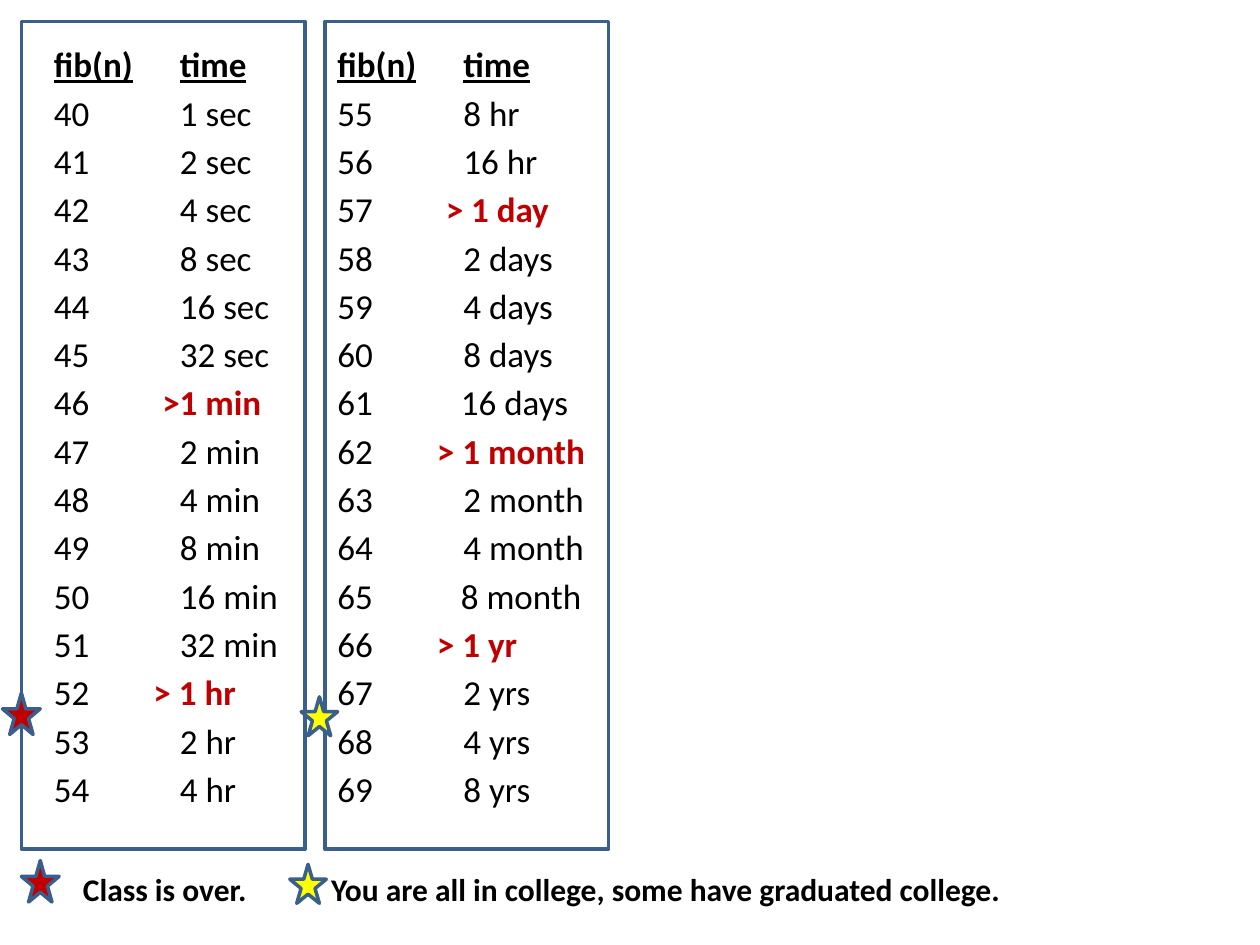
from lxml.etree import SubElement
from pptx import Presentation
from pptx.dml.color import RGBColor
from pptx.enum.shapes import MSO_SHAPE
from pptx.oxml.ns import qn
from pptx.util import Inches, Pt

BLACK, RED, YELLOW, BLUE = "000000", "C00000", "FFFF00", "3A5F8C"
TIME_TAB = 1.0
FIRST_TIMES = ["1 sec", "2 sec", "4 sec", "8 sec", "16 sec", "32 sec", ">1 min",
               "2 min", "4 min", "8 min", "16 min", "32 min", "> 1 hr", "2 hr", "4 hr"]
LATER_TIMES = ["8 hr", "16 hr", "> 1 day", "2 days", "4 days", "8 days", "16 days",
               "> 1 month", "2 month", "4 month", "8 month", "> 1 yr", "2 yrs",
               "4 yrs", "8 yrs"]
# Rows whose time starts left of the common tab stop
SHIFTED_TABS = {46: 0.86, 52: 0.79, 57: 0.86, 61: 0.98, 62: 0.79, 65: 0.98, 66: 0.79}


def color(hex_value):
    return RGBColor.from_string(hex_value)


class FibSlide:
    font_name = "Calibri"
    line_width = Pt(2)

    def __init__(self, presentation):
        self.slide = presentation.slides.add_slide(presentation.slide_layouts[6])

    def shape(self, kind, left, top, width, height, fill=None):
        shape = self.slide.shapes.add_shape(
            kind, Inches(left), Inches(top), Inches(width), Inches(height))
        shape.shadow.inherit = False
        if fill:
            shape.fill.solid()
            shape.fill.fore_color.rgb = color(fill)
        else:
            shape.fill.background()
        shape.line.color.rgb = color(BLUE)
        shape.line.width = self.line_width

    def star(self, left, top, width, height, fill):
        self.shape(MSO_SHAPE.STAR_5_POINT, left, top, width, height, fill)

    def text_frame(self, left, top, width, height):
        frame = self.slide.shapes.add_textbox(
            Inches(left), Inches(top), Inches(width), Inches(height)).text_frame
        frame.word_wrap = True
        return frame

    def run(self, paragraph, text, size, hex_value=BLACK, **styles):
        run = paragraph.add_run()
        run.text = text
        font_values = {"name": self.font_name, "size": Pt(size), **styles}
        for attribute, value in font_values.items():
            setattr(run.font, attribute, value)
        run.font.color.rgb = color(hex_value)

    def tab_stop(self, paragraph, position):
        """Set one left tab, measured in inches from the text edge."""
        tabs = SubElement(paragraph._p.get_or_add_pPr(), qn("a:tabLst"))
        SubElement(tabs, qn("a:tab"), pos=str(Inches(position)), algn="l")

    def timing_column(self, left, first_n, times):
        frame = self.text_frame(left, 0.29, 2.17, 6.45)
        header = frame.paragraphs[0]
        self.tab_stop(header, TIME_TAB)
        self.run(header, "fib(n)", 20, bold=True, underline=True)
        self.run(header, "\t", 20)
        self.run(header, "time", 20, bold=True, underline=True)
        for n, time in enumerate(times, first_n):
            row = frame.add_paragraph()
            row.space_before = Pt(3.6)
            self.tab_stop(row, SHIFTED_TABS.get(n, TIME_TAB))
            milestone = time.startswith(">")
            self.run(row, f"{n}\t", 20)
            self.run(row, time, 20, RED if milestone else BLACK, bold=milestone)

    def legend(self):
        paragraph = self.text_frame(0.56, 6.86, 9.33, 0.4).paragraphs[0]
        self.tab_stop(paragraph, 1.97)
        self.run(paragraph, "Class is over.\tYou are all in college, "
                 "some have graduated college.", 18, bold=True)


def main():
    presentation = Presentation()
    presentation.slide_width = Inches(10)
    presentation.slide_height = Inches(7.5)
    fib = FibSlide(presentation)
    fib.timing_column(0.33, 40, FIRST_TIMES)
    fib.timing_column(2.58, 55, LATER_TIMES)
    for frame_left in (0.17, 2.58):
        fib.shape(MSO_SHAPE.RECTANGLE, frame_left, 0.17, 2.25, 6.57)
    for left, top in ((0.02, 5.5), (0.17, 6.83)):
        fib.star(left, top, 0.3, 0.33, RED)
    fib.legend()
    for left, top in ((2.39, 5.53), (2.3, 6.86)):
        fib.star(left, top, 0.29, 0.31, YELLOW)
    presentation.save("out.pptx")


if __name__ == "__main__":
    main()
